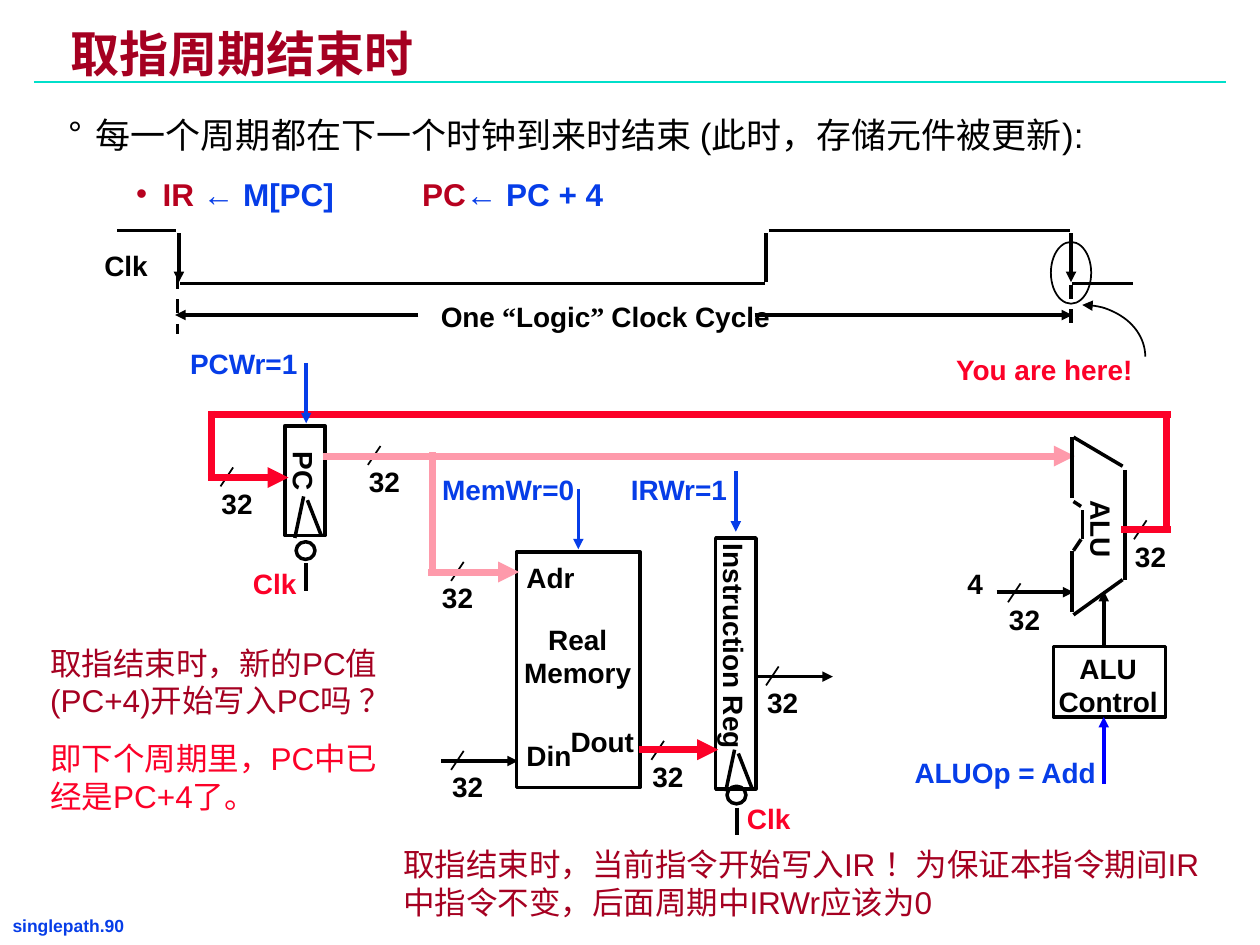
from dataclasses import dataclass

from lxml.etree import SubElement
from pptx import Presentation
from pptx.dml.color import RGBColor
from pptx.enum.dml import MSO_LINE
from pptx.enum.shapes import MSO_CONNECTOR, MSO_SHAPE
from pptx.enum.text import MSO_AUTO_SIZE, PP_ALIGN
from pptx.oxml.ns import qn
from pptx.util import Cm, Length, Pt


@dataclass(frozen=True)
class Theme:
    black: str = "000000"
    blue: str = "063DE8"
    pure_blue: str = "0000FF"
    red: str = "FC0128"
    pink: str = "FE9AAB"
    wine: str = "A50021"
    crimson: str = "B7011F"
    teal: str = "00DFCA"
    font: str = "Arial"
    quote_font: str = "Times New Roman"
    title: int = 28
    body: int = 20
    note: int = 18
    label: int = 16
    footer: int = 10
    thin: float = 1
    rule: float = 1.5
    wire: float = 2
    bus: float = 4
    grid: float = 2.54


THEME = Theme()


@dataclass(frozen=True)
class Span:
    text: str
    color: str = ""
    font: str = ""


@dataclass(frozen=True)
class Para:
    spans: tuple[Span, ...]
    color: str = THEME.black
    size: int = THEME.label
    bold: bool = True
    align: PP_ALIGN = PP_ALIGN.LEFT
    spacing: float = 1.0
    before: float = 0
    bullet: str = ""
    margin: float = 0
    hanging: float = 0
    tab: float = 0


@dataclass(frozen=True)
class TextBox:
    place: tuple[float, float, float, float]
    paras: tuple[Para, ...]
    wrap: bool = False
    inset: tuple[float, float, float] = (0.1, 0.05, 0.1)
    rotation: float = 0


@dataclass(frozen=True)
class Wire:
    start: tuple[float, float]
    end: tuple[float, float]
    color: str = THEME.black
    width: float = THEME.wire
    arrow: bool = False
    dashed: bool = False


@dataclass(frozen=True)
class Tap:
    x: float
    y: float
    label_shift: float = -0.19


@dataclass(frozen=True)
class Register:
    left: float
    top: float
    height: float
    bubble_top: float


def grid(units: float) -> Length:
    """Turn slide grid units into a length."""
    return Cm(units * THEME.grid)


def plain(text: str, **style) -> Para:
    """Make a paragraph with a single span."""
    return Para((Span(text),), **style)


def label(text: str, left: float, top: float, width: float, color: str = THEME.black) -> TextBox:
    """Make a one-line diagram label."""
    return TextBox((left, top, width, 0.36), (plain(text, color=color),), inset=(0.1, 0.05, 0))


def centred(lines: tuple[str, ...], place: tuple[float, float, float, float], rotation: float = 0) -> TextBox:
    """Make a centred block caption."""
    paras = tuple(plain(line, align=PP_ALIGN.CENTER) for line in lines)
    return TextBox(place, paras, inset=(0, 0.05, 0), rotation=rotation)


def format_para(paragraph, para: Para) -> None:
    """Apply spacing, bullet, tab and font to a paragraph and add its spans."""
    paragraph.alignment = para.align
    paragraph.line_spacing = para.spacing
    paragraph.space_before = Pt(para.before)
    properties = paragraph._p.get_or_add_pPr()
    properties.set("hangingPunct", "0")
    if para.bullet:
        properties.set("marL", str(grid(para.margin)))
        properties.set("indent", str(-grid(para.hanging)))
        SubElement(SubElement(properties, qn("a:buClr")), qn("a:srgbClr"), val=para.color)
        SubElement(properties, qn("a:buFont"), typeface=THEME.font)
        SubElement(properties, qn("a:buChar"), char=para.bullet)
    if para.tab:
        tabs = SubElement(properties, qn("a:tabLst"))
        SubElement(tabs, qn("a:tab"), pos=str(grid(para.tab)), algn="l")
    paragraph.font.size = Pt(para.size)
    paragraph.font.bold = para.bold
    paragraph.font.name = THEME.font
    paragraph.font.color.rgb = RGBColor.from_string(para.color)
    for span in para.spans:
        run = paragraph.add_run()
        run.text = span.text
        if span.color:
            run.font.color.rgb = RGBColor.from_string(span.color)
        if span.font:
            run.font.name = span.font


def draw_text(page, box: TextBox) -> None:
    """Draw a text box."""
    shape = page.shapes.add_textbox(*map(grid, box.place))
    shape.rotation = box.rotation
    frame = shape.text_frame
    frame.word_wrap = box.wrap
    frame.auto_size = MSO_AUTO_SIZE.NONE
    frame.margin_left, frame.margin_top, frame.margin_right = map(grid, box.inset)
    frame.margin_bottom = frame.margin_top
    for index, para in enumerate(box.paras):
        format_para(frame.add_paragraph() if index else frame.paragraphs[0], para)


def draw_wire(page, wire: Wire) -> None:
    """Draw a straight line, with an arrowhead at its end if asked."""
    line = page.shapes.add_connector(MSO_CONNECTOR.STRAIGHT, *map(grid, wire.start + wire.end))
    line.line.color.rgb = RGBColor.from_string(wire.color)
    line.line.width = Pt(wire.width)
    if wire.dashed:
        line.line.dash_style = MSO_LINE.DASH
    if wire.arrow:
        SubElement(line.line._get_or_add_ln(), qn("a:tailEnd"), type="triangle")
    SubElement(line._element.spPr, qn("a:effectLst"))


def draw_outline(page, kind: MSO_SHAPE, place: tuple[float, float, float, float], width: float = THEME.wire):
    """Draw an unfilled black preset shape."""
    shape = page.shapes.add_shape(kind, *map(grid, place))
    shape.shadow.inherit = False
    shape.fill.background()
    shape.line.color.rgb = RGBColor.from_string(THEME.black)
    shape.line.width = Pt(width)
    return shape


def draw_tap(page, tap: Tap) -> None:
    """Draw a bus width slash with its number."""
    draw_wire(page, Wire((tap.x, tap.y), (tap.x - 0.1, tap.y + 0.15), width=THEME.thin))
    draw_text(page, label("32", tap.x + tap.label_shift, tap.y + 0.1, 0.44))


def draw_register(page, register: Register) -> None:
    """Draw a register with its clock wedge, bubble and stem."""
    left, bottom, bubble = register.left, register.top + register.height, register.bubble_top
    draw_outline(page, MSO_SHAPE.RECTANGLE, (left, register.top, 0.32, register.height))
    draw_outline(page, MSO_SHAPE.OVAL, (left + 0.09, bubble, 0.15, 0.14))
    draw_wire(page, Wire((left + 0.08, bottom + 0.02), (left + 0.15, bottom - 0.31)))
    draw_wire(page, Wire((left + 0.18, bottom - 0.28), (left + 0.29, bottom)))
    draw_wire(page, Wire((left + 0.17, bubble + 0.17), (left + 0.17, bubble + 0.39)))


RED_BUS = {"color": THEME.red, "width": THEME.bus}
PINK_BUS = {"color": THEME.pink, "width": THEME.bus}
CONTROL = {"color": THEME.blue, "arrow": True}
NOTE = {"size": THEME.note, "bold": False}
HEADING = {"wrap": True, "inset": (0.07, 0.03, 0.07)}

WIRES = (
    Wire((0.27, 0.65), (9.73, 0.65), THEME.teal, THEME.rule),
    Wire((3.4, 4.54), (4.12, 4.54), arrow=True, **PINK_BUS),
    Wire((2.56, 3.62), (8.53, 3.62), arrow=True, **PINK_BUS),
    Wire((3.43, 4.56), (3.43, 3.59), **PINK_BUS),
    Wire((3.5, 6.04), (4.11, 6.04), arrow=True),
    Wire((7.91, 4.7), (8.52, 4.7), arrow=True),
    Wire((6, 5.37), (6.61, 5.37), arrow=True),
    Wire((8.76, 5.13), (8.76, 4.69), arrow=True),
    Wire((8.76, 6.22), (8.76, 5.69), THEME.pure_blue, arrow=True),
    Wire((8.51, 4.37), (8.51, 4.86)),
    Wire((8.51, 3.47), (8.51, 3.95)),
    Wire((8.52, 3.47), (8.91, 3.7)),
    Wire((8.93, 3.73), (8.93, 4.6)),
    Wire((8.52, 4.88), (8.91, 4.6)),
    Wire((8.59, 4.05), (8.59, 4.28)),
    Wire((8.52, 3.98), (8.58, 4.02)),
    Wire((8.52, 4.37), (8.58, 4.28)),
    Wire((5.07, 5.95), (5.7, 5.95), arrow=True, **RED_BUS),
    Wire((1.65, 3.79), (2.29, 3.79), arrow=True, **RED_BUS),
    Wire((8.9, 4.2), (9.29, 4.2), **RED_BUS),
    Wire((9.26, 4.23), (9.26, 3.26), **RED_BUS),
    Wire((9.29, 3.29), (1.65, 3.29), **RED_BUS),
    Wire((1.68, 3.26), (1.68, 3.81), **RED_BUS),
    Wire((2.43, 2.88), (2.43, 3.36), **CONTROL),
    Wire((4.59, 3.88), (4.59, 4.36), **CONTROL),
    Wire((5.84, 3.74), (5.84, 4.22), **CONTROL),
    Wire((0.93, 1.83), (1.4, 1.83)),
    Wire((1.42, 1.85), (1.42, 2.24), arrow=True),
    Wire((1.43, 2.25), (6.07, 2.25)),
    Wire((6.08, 2.24), (6.08, 1.85)),
    Wire((6.1, 1.83), (8.49, 1.83)),
    Wire((8.5, 1.85), (8.5, 2.24), arrow=True),
    Wire((8.51, 2.25), (8.99, 2.25)),
    Wire((1.41, 2.18), (1.41, 2.65), dashed=True),
    Wire((8.5, 2.26), (8.5, 2.65), dashed=True),
    Wire((3.32, 2.5), (1.39, 2.5), arrow=True),
    Wire((5.99, 2.5), (8.51, 2.5), arrow=True),
)
TAPS = (
    Tap(3.68, 4.46, -0.27), Tap(3.68, 5.96), Tap(5.27, 5.88), Tap(3.02, 3.54),
    Tap(1.85, 3.71), Tap(8.1, 4.63), Tap(9.1, 4.13), Tap(6.18, 5.29),
)
REGISTERS = (Register(2.26, 3.38, 0.87, 4.3), Register(5.68, 4.27, 1.99, 6.24))
BLOCKS = ((4.1, 4.38, 0.98, 1.87), (8.36, 5.13, 0.89, 0.56))
TEXTS = (
    TextBox((0.03, 7.23, 1.54, 0.22), (plain("singlepath.90", color=THEME.blue, size=THEME.footer),),
            inset=(0.07, 0.03, 0.07)),
    TextBox((0.49, 0.22, 6.99, 0.46),
            (plain("取指周期结束时", color=THEME.wine, size=THEME.title, spacing=0.87),), **HEADING),
    TextBox((0.47, 0.82, 9.01, 0.89), (
        plain("每一个周期都在下一个时钟到来时结束 (此时，存储元件被更新):", size=THEME.body,
              bold=False, spacing=1.15, bullet="°", margin=0.22, hanging=0.22),
        Para((Span("IR "), Span("← M[PC]\t", THEME.blue), Span("PC"), Span("← PC + 4", THEME.blue)),
             color=THEME.crimson, size=THEME.note, spacing=1.15, before=7.9,
             bullet="•", margin=0.75, hanging=0.21, tab=2.81),
    ), **HEADING),
    centred(("Real", "Memory"), (4.06, 4.89, 1.05, 0.63)),
    centred(("ALU", "Control"), (8.3, 5.12, 0.99, 0.63)),
    centred(("PC",), (2.16, 3.56, 0.51, 0.36), 90),
    centred(("ALU",), (8.42, 4.02, 0.65, 0.36), 90),
    centred(("Instruction Reg",), (4.92, 4.95, 1.82, 0.36), 90),
    label("Din", 4.08, 5.81, 0.56),
    label("Adr", 4.08, 4.4, 0.58),
    label("Dout", 4.43, 5.7, 0.7),
    label("4", 7.58, 4.45, 0.32),
    label("Clk", 0.73, 1.92, 0.54),
    label("Clk", 1.91, 4.45, 0.54, THEME.red),
    label("Clk", 5.83, 6.31, 0.54, THEME.red),
    label("You are here!", 7.49, 2.75, 1.61, THEME.red),
    label("PCWr=1", 1.41, 2.7, 1.05, THEME.blue),
    label("MemWr=0", 3.41, 3.7, 1.25, THEME.blue),
    label("IRWr=1", 4.91, 3.7, 0.97, THEME.blue),
    label("ALUOp = Add", 7.16, 5.95, 1.65, THEME.blue),
    TextBox((3.4, 2.33, 2.8, 0.36), (Para((
        Span("One"), Span(" “", font=THEME.quote_font), Span("Logic"),
        Span("” ", font=THEME.quote_font), Span("Clock Cycle"))),), inset=(0.1, 0.05, 0)),
    TextBox((0.3, 5.06, 2.95, 1.76), (
        plain("取指结束时，新的PC值(PC+4)开始写入PC吗 ？", color=THEME.wine, **NOTE),
        plain("即下个周期里，PC中已经是PC+4了。", color=THEME.red, before=11.2, **NOTE),
    ), wrap=True),
    TextBox((3.1, 6.66, 6.65, 0.7), (
        plain("取指结束时，当前指令开始写入IR ！为保证本指令期间IR中指令不变，后面周期中IRWr应该为0",
              color=THEME.wine, **NOTE),), wrap=True),
)


def main() -> None:
    """Build the slide and save the deck."""
    deck = Presentation()
    deck.slide_width, deck.slide_height = grid(10), grid(7.5)
    page = deck.slides.add_slide(deck.slide_layouts[6])
    for block in BLOCKS:
        draw_outline(page, MSO_SHAPE.RECTANGLE, block)
    for register in REGISTERS:
        draw_register(page, register)
    for tap in TAPS:
        draw_tap(page, tap)
    for wire in WIRES:
        draw_wire(page, wire)
    draw_outline(page, MSO_SHAPE.OVAL, (8.34, 1.92, 0.32, 0.49), THEME.thin)
    pointer = draw_outline(page, MSO_SHAPE.ARC, (8.09, 2.42, 1, 0.82), THEME.thin)
    SubElement(pointer.line._get_or_add_ln(), qn("a:headEnd"), type="triangle")
    for box in TEXTS:
        draw_text(page, box)
    deck.save("out.pptx")


if __name__ == "__main__":
    main()
